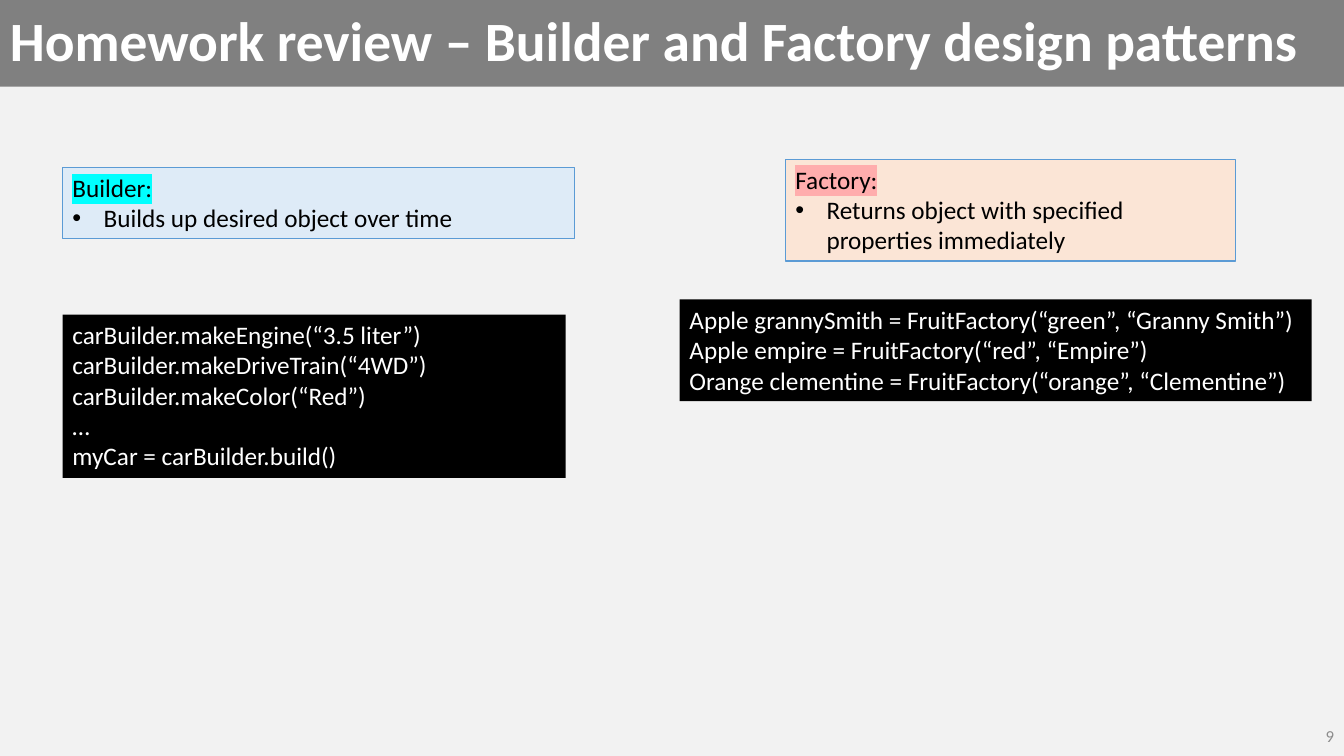
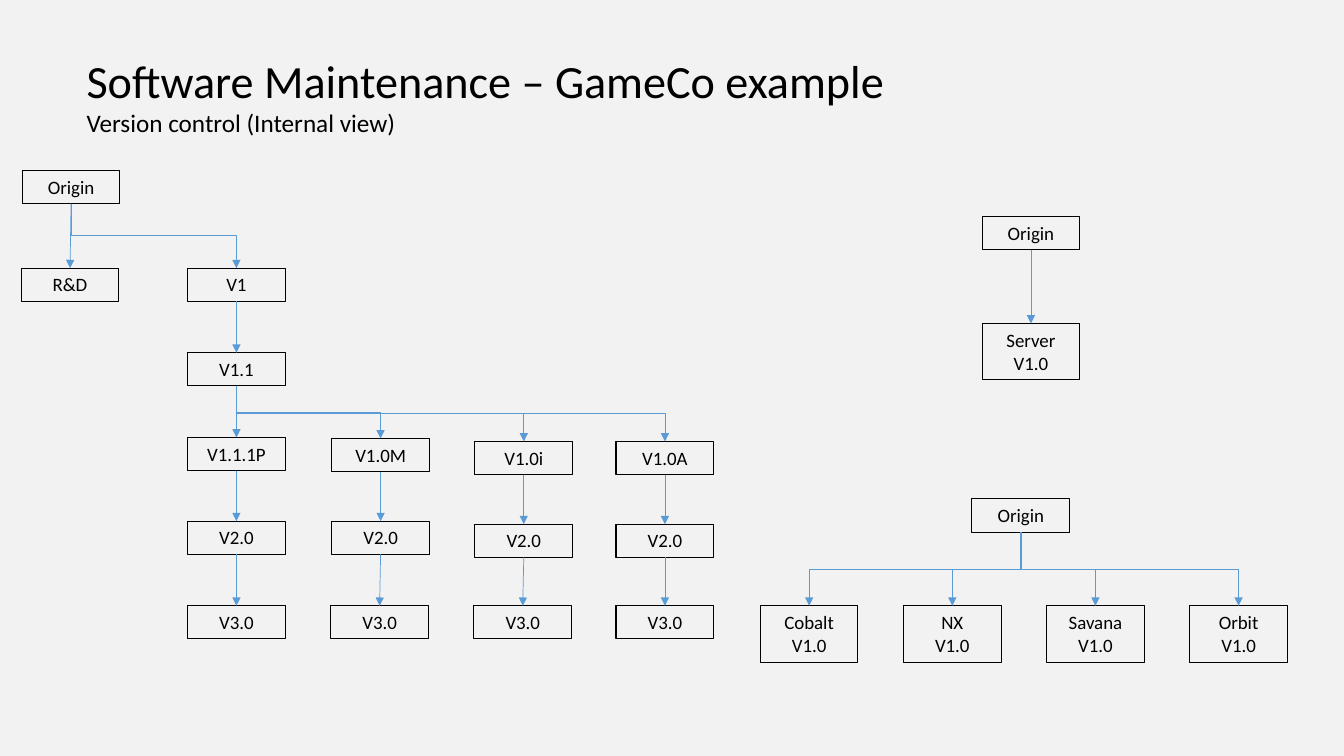
import pptx
import pptx.dml.color
import pptx.enum.shapes
import pptx.enum.text
import pptx.oxml
import pptx.oxml.ns
import pptx.util
from pptx.util import Inches

RGBColor = pptx.dml.color.RGBColor
PALE_GREY = RGBColor(0xF2, 0xF2, 0xF2)
BAND_GREY = RGBColor(0x80, 0x80, 0x80)
NUMBER_GREY = RGBColor(0x8C, 0x8C, 0x8C)
WHITE = RGBColor(0xFF, 0xFF, 0xFF)
BLACK = RGBColor(0, 0, 0)
BLUE = RGBColor(0x5B, 0x9B, 0xD5)
PALE_BLUE = RGBColor(0xDE, 0xEB, 0xF7)
PALE_ORANGE = RGBColor(0xFB, 0xE5, 0xD6)
CYAN = RGBColor(0, 0xFF, 0xFF)
PINK = RGBColor(0xFF, 0xAD, 0xAD)

ALIGN = pptx.enum.text.PP_ALIGN
ANCHOR = pptx.enum.text.MSO_ANCHOR
CONNECTOR = pptx.enum.shapes.MSO_CONNECTOR
BOTTOM, TOP = 2, 0


def element(xml):
    """Parse one drawing element, given without its namespace declaration."""
    tag, rest = xml[:-2].partition(" ")[::2]
    return pptx.oxml.parse_xml(f'{tag} {pptx.oxml.ns.nsdecls("a")} {rest}/>')


def write(para, text, size=18, color=BLACK, bold=False, font="Calibri",
          align=ALIGN.LEFT, spacing=None, bullet=False, highlight=None):
    para.alignment = align
    if spacing:
        para.line_spacing = spacing
    if bullet:
        props = para._p.get_or_add_pPr()
        props.set("marL", str(Inches(0.31)))
        props.set("indent", str(-Inches(0.31)))
        props.append(element('<a:buFont typeface="Arial"/>'))
        props.append(element('<a:buChar char="•"/>'))
    span = para.add_run()
    span.text = text
    span.font.name = font
    span.font.size = pptx.util.Pt(size)
    span.font.bold = bold
    span.font.color.rgb = color
    if highlight is not None:
        mark = element("<a:highlight/>")
        mark.append(element(f'<a:srgbClr val="{highlight}"/>'))
        fill = span._r.get_or_add_rPr().find(pptx.oxml.ns.qn("a:solidFill"))
        fill.addnext(mark)


class Pages:
    """Holds the deck, its style and the current page."""

    def __init__(self):
        self.deck = pptx.Presentation()
        self.deck.slide_width = Inches(13.33)
        self.deck.slide_height = Inches(7.5)
        background = self.deck.slide_master.background.fill
        background.solid()
        background.fore_color.rgb = PALE_GREY
        self.page = None

    def new_page(self):
        self.page = self.deck.slides.add_slide(self.deck.slide_layouts[6])

    def frame(self, shape, anchor=ANCHOR.TOP):
        frame = shape.text_frame
        frame.word_wrap = True
        frame.vertical_anchor = anchor
        return frame

    def text(self, left, top, width, height, anchor=ANCHOR.TOP):
        box = self.page.shapes.add_textbox(
            Inches(left), Inches(top), Inches(width), Inches(height))
        return self.frame(box, anchor)

    def box(self, left, top, width, height, fill=None, line=None,
            anchor=ANCHOR.TOP):
        box = self.page.shapes.add_shape(
            pptx.enum.shapes.MSO_SHAPE.RECTANGLE,
            Inches(left), Inches(top), Inches(width), Inches(height))
        box.shadow.inherit = False
        if fill is None:
            box.fill.background()
        else:
            box.fill.solid()
            box.fill.fore_color.rgb = fill
        if line is None:
            box.line.fill.background()
        else:
            box.line.color.rgb = line
            box.line.width = pptx.util.Pt(0.75)
        self.frame(box, anchor)
        return box

    def lines(self, frame, texts, **style):
        for index, text in enumerate(texts):
            para = frame.add_paragraph() if index else frame.paragraphs[0]
            write(para, text, **style)

    def title_band(self, text):
        band = self.box(0, 0, 13.33, 0.86, fill=BAND_GREY, anchor=ANCHOR.MIDDLE)
        write(band.text_frame.paragraphs[0], text, size=39.6, color=WHITE,
              bold=True, spacing=0.9)

    def page_number(self, number):
        frame = self.text(10.33, 7.1, 3, 0.4, ANCHOR.MIDDLE)
        write(frame.paragraphs[0], number, size=12, color=NUMBER_GREY,
              align=ALIGN.RIGHT)

    def heading(self, title, subtitle):
        frame = self.text(0.76, 0.47, 11.15, 0.96)
        write(frame.paragraphs[0], title, size=33)
        write(frame.add_paragraph(), subtitle)

    def definition(self, left, top, width, height, term, meaning, fill, mark):
        frame = self.box(left, top, width, height, fill, BLUE).text_frame
        write(frame.paragraphs[0], term, highlight=mark)
        write(frame.add_paragraph(), meaning, bullet=True)

    def code(self, left, top, width, height, texts):
        box = self.box(left, top, width, height, fill=BLACK)
        self.lines(box.text_frame, texts, color=WHITE)

    def node(self, left, top, *texts, height=0.33):
        box = self.box(left, top, 0.97, height, line=BLACK)
        self.lines(box.text_frame, texts, size=13.5, align=ALIGN.CENTER)
        return box

    def link(self, parent, child):
        """Arrow from the parent's bottom to the child's top, bent if far."""
        x1, y1 = parent.left + parent.width // 2, parent.top + parent.height
        x2, y2 = child.left + child.width // 2, child.top
        bent = abs(x2 - x1) > Inches(0.1)
        kind = CONNECTOR.ELBOW if bent else CONNECTOR.STRAIGHT
        arrow = self.page.shapes.add_connector(kind, x1, y1, x2, y2)
        arrow.begin_connect(parent, BOTTOM)
        arrow.end_connect(child, TOP)
        if bent:
            self.turn_downward(arrow, x2 > x1)
        arrow.line.color.rgb = BLUE
        arrow.line.width = pptx.util.Pt(0.5)
        arrow.line._get_or_add_ln().append(element('<a:tailEnd type="triangle"/>'))
        arrow.element.spPr.append(element("<a:effectLst/>"))

    def turn_downward(self, arrow, rightward):
        """Make an elbow leave and arrive vertically."""
        left, top, width, height = arrow.left, arrow.top, arrow.width, arrow.height
        arrow.left = left + (width - height) // 2
        arrow.top = top + (height - width) // 2
        arrow.width, arrow.height = height, width
        xfrm = arrow.element.spPr.find(pptx.oxml.ns.qn("a:xfrm"))
        for flip in ("flipH", "flipV"):
            xfrm.attrib.pop(flip, None)
        xfrm.set("rot", "16200000" if rightward else "5400000")
        if rightward:
            xfrm.set("flipH", "1")

    def chain(self, *nodes):
        for parent, child in zip(nodes, nodes[1:]):
            self.link(parent, child)


def build_patterns(pages):
    pages.new_page()
    pages.title_band("Homework review – Builder and Factory design patterns")
    pages.page_number("9")
    pages.definition(0.62, 1.66, 5.08, 0.71, "Builder:",
                     "Builds up desired object over time", PALE_BLUE, CYAN)
    pages.definition(7.79, 1.58, 4.46, 1.01, "Factory:",
                     "Returns object with specified properties immediately",
                     PALE_ORANGE, PINK)
    pages.code(0.62, 3.12, 4.99, 1.62, [
        "carBuilder.makeEngine(“3.5 liter”)",
        "carBuilder.makeDriveTrain(“4WD”)",
        "carBuilder.makeColor(“Red”)",
        "…",
        "myCar = carBuilder.build()"])
    pages.code(6.74, 2.97, 6.27, 1.01, [
        "Apple grannySmith = FruitFactory(“green”, “Granny Smith”)",
        "Apple empire = FruitFactory(“red”, “Empire”)",
        "Orange clementine = FruitFactory(“orange”, “Clementine”)"])


def build_versions(pages):
    pages.new_page()
    pages.heading("Software Maintenance – GameCo example",
                  "Version control (Internal view)")

    origin = pages.node(0.22, 1.69, "Origin")
    pages.link(origin, pages.node(0.21, 2.66, "R&D"))
    first = pages.node(1.86, 2.66, "V1")
    update = pages.node(1.86, 3.5, "V1.1")
    pages.chain(origin, first, update)
    for name, left, top, second_top, last_left in (
            ("V1.1.1P", 1.86, 4.34, 5.17, 1.86),
            ("V1.0M", 3.29, 4.35, 5.17, 3.28),
            ("V1.0i", 4.71, 4.38, 5.2, 4.7),
            ("V1.0A", 6.11, 4.38, 5.2, 6.11)):
        pages.chain(update,
                    pages.node(left, top, name),
                    pages.node(left, second_top, "V2.0"),
                    pages.node(last_left, 6.01, "V3.0"))

    pages.chain(pages.node(9.74, 2.15, "Origin"),
                pages.node(9.74, 3.21, "Server V1.0", height=0.56))

    client_origin = pages.node(9.64, 4.95, "Origin")
    for index, browser in enumerate(("Cobalt", "NX", "Savana", "Orbit")):
        client = pages.node(7.54 + 1.42 * index, 6.01, browser, "V1.0",
                            height=0.56)
        pages.link(client_origin, client)


def main():
    pages = Pages()
    build_patterns(pages)
    build_versions(pages)
    pages.deck.save("out.pptx")


if __name__ == "__main__":
    main()
